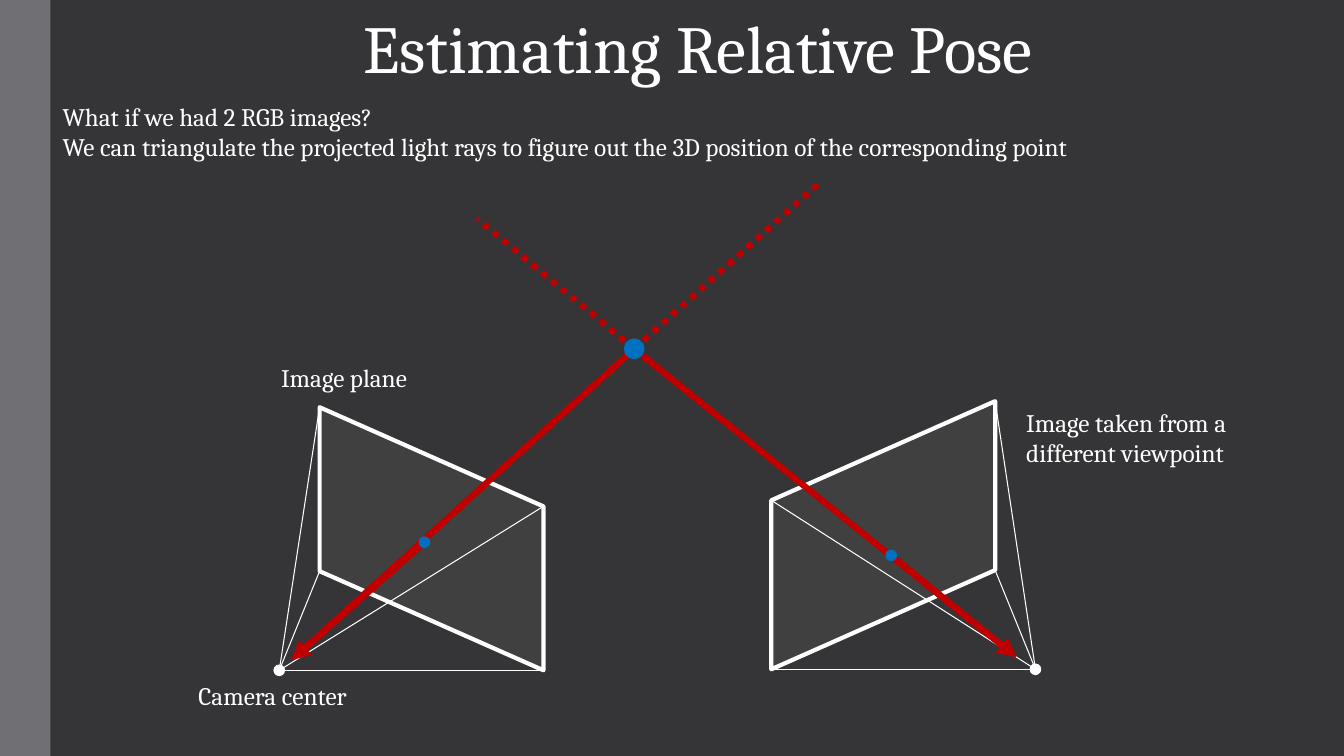
from lxml import etree
from pptx import Presentation
from pptx.dml.color import RGBColor
from pptx.enum import dml, shapes, text
from pptx.oxml.ns import qn
from pptx.util import Inches, Pt

COLORS = {"bg": "353537", "bar": "6F6F74", "plane": "404040",
          "white": "FFFFFF", "ray": "C00000", "point": "0070C0"}
FONT = "Cambria"
SKEW = 0.443  # slant of an image plane, as a share of its width


def rgb(name):
    return RGBColor.from_string(COLORS[name])


def style_text(tf, size, align=text.PP_ALIGN.LEFT):
    tf.word_wrap = True
    tf.auto_size = text.MSO_AUTO_SIZE.NONE
    tf.vertical_anchor = text.MSO_ANCHOR.TOP
    for p in tf.paragraphs:
        p.alignment = align
        p.space_before = Pt(0)
        for r in p.runs:
            r.font.name, r.font.size = FONT, Pt(size)
            r.font.color.rgb = rgb("white")


def place(sp, box):
    sp.left, sp.top, sp.width, sp.height = (Inches(v) for v in box)


def add_label(s, words, box):
    sp = s.shapes.add_textbox(*(Inches(v) for v in box))
    sp.text_frame.text = words
    style_text(sp.text_frame, 18)


def add_filled(s, kind, box, fill, line=None, width=1.1):
    sp = s.shapes.add_shape(kind, *(Inches(v) for v in box))
    sp.shadow.inherit = False
    sp.fill.solid()
    sp.fill.fore_color.rgb = rgb(fill)
    if line:
        sp.line.color.rgb = rgb(line)
        sp.line.width = Pt(width)
    else:
        sp.line.fill.background()
    return sp


def add_dot(s, center, size, color):
    x, y = center
    add_filled(s, shapes.MSO_SHAPE.OVAL, (x - size / 2, y - size / 2, size, size), color, color)


def add_line(s, start, end, color, width, dotted=False, arrow=False):
    c = s.shapes.add_connector(shapes.MSO_CONNECTOR.STRAIGHT, *(Inches(v) for v in (*start, *end)))
    c.line.color.rgb = rgb(color)
    c.line.width = Pt(width)
    if dotted:
        c.line.dash_style = dml.MSO_LINE.ROUND_DOT
    if arrow:
        etree.SubElement(c.line._get_or_add_ln(), qn("a:tailEnd"), type="triangle")
    etree.SubElement(c._element.spPr, qn("a:effectLst"))


# Title and text
def add_heading(s, box):
    x, y, w, h = box
    title, body = s.shapes.title, s.placeholders[1]
    place(title, (x, y, w, 0.91))
    title.text_frame.text = "Estimating Relative Pose"
    style_text(title.text_frame, 48, text.PP_ALIGN.CENTER)
    place(body, (x, y + 0.94, w - 0.2, h - 0.94))
    tf = body.text_frame
    tf.text = ("What if we had 2 RGB images?\n"
               "We can triangulate the projected light rays to figure out "
               "the 3D position of the corresponding point")
    for p in tf.paragraphs:
        pPr = p._p.get_or_add_pPr()
        pPr.set("marL", "0")
        pPr.set("indent", "0")
        etree.SubElement(pPr, qn("a:buNone"))
    style_text(tf, 18)


# One camera: image plane, light ray, viewing pyramid and projected pixel
def add_camera(s, box, world, far, pixel, ray_end, mirrored=False):
    x, y, w, h = box
    near_x, far_x = (x + w, x) if mirrored else (x, x + w)
    center = (near_x + (0.4 if mirrored else -0.4), y + h)
    drop = SKEW * w
    corners = [(far_x, y + drop), (near_x, y), (far_x, y + h), (near_x, y + h - drop)]

    add_line(s, world, far, "ray", 4.5, dotted=True)
    turned = (x + (w - h) / 2, y + (h - w) / 2, h, w)
    plane = add_filled(s, shapes.MSO_SHAPE.PARALLELOGRAM, turned, "plane", "white", 3)
    plane.adjustments[0] = SKEW
    plane.rotation = 90 if mirrored else 270
    if mirrored:
        plane._element.spPr.find(qn("a:xfrm")).set("flipV", "1")

    add_line(s, world, ray_end, "ray", 4.5, arrow=True)
    for corner in corners:
        add_line(s, corner, center, "white", 0.75)
    add_line(s, pixel, ray_end, "ray", 4.5, arrow=True)
    add_dot(s, pixel, 0.1, "point")
    add_dot(s, center, 0.1, "white")


# Two cameras that see the same point
def add_diagram(s, box):
    x, y, w, h = box

    def at(dx, dy):
        return x + dx, y + dy

    world = at(4.42, 1.63)
    add_camera(s, (*at(1.3, 2.21), 2.22, 2.61), world, at(6.24, 0),
               at(2.34, 3.55), at(1.02, 4.72))
    add_camera(s, (*at(5.78, 2.15), 2.22, 2.66), world, at(2.86, 0.34),
               at(6.97, 3.68), at(8.21, 4.69), mirrored=True)
    add_dot(s, world, 0.19, "point")
    add_label(s, "Camera center", (*at(0, 4.87), 2.04, 0.4))
    add_label(s, "Image plane", (*at(0.82, 1.72), 2.04, 0.4))
    add_label(s, "Image taken from a different viewpoint", (*at(w - 2.51, 2.16), 2.51, 0.71))


def main():
    prs = Presentation()
    prs.slide_width, prs.slide_height = Inches(13.33), Inches(7.5)
    s = prs.slides.add_slide(prs.slide_layouts[1])
    s.background.fill.solid()
    s.background.fill.fore_color.rgb = rgb("bg")
    add_filled(s, shapes.MSO_SHAPE.RECTANGLE, (0, 0, 0.5, 7.5), "bar")
    add_heading(s, (0.52, 0.01, 12.81, 1.65))
    add_diagram(s, (1.87, 1.83, 10.72, 5.27))
    prs.save("out.pptx")


if __name__ == "__main__":
    main()
